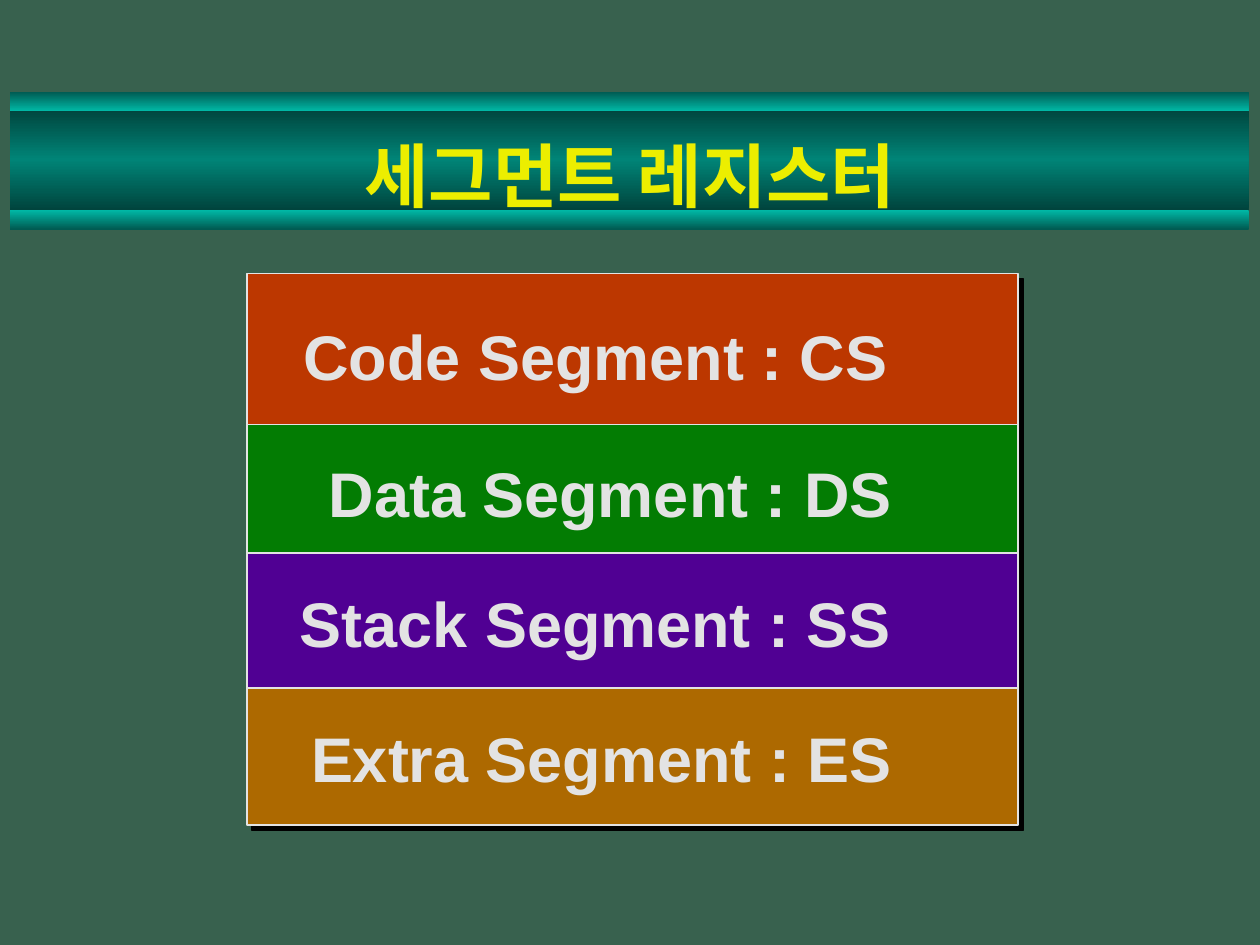
from lxml import etree
from pptx import Presentation
from pptx.dml.color import RGBColor
from pptx.enum import shapes, text
from pptx.oxml import parse_xml
from pptx.oxml.ns import nsdecls, qn
from pptx.util import Inches, Pt

LIGHT = "E3E3E3"
BANNER = [  # top, height, gradient stops
    (0.85, 0.83, [(0, "00423B"), (50, "008477"), (100, "00423B")]),
    (1.67, 0.15, [(0, "00B7A5"), (100, "005B52")]),
    (0.73, 0.15, [(0, "005B52"), (100, "00B7A5")]),
]
BANDS = [  # top, height, colour
    (2.17, 1.23, "BC3700"),
    (3.37, 1.03, "037C03"),
    (4.39, 1.43, "500093"),
    (5.46, 1.09, "AD6900"),
]
LABELS = [  # left, top, width, wording
    (2.31, 2.47, 5.26, "Code Segment : CS"),
    (2.51, 3.56, 5.6, "Data Segment : DS"),
    (2.28, 4.59, 5.84, "Stack Segment : SS"),
    (2.37, 5.66, 5.48, "Extra Segment : ES"),
]


def colour(value):
    return RGBColor.from_string(value)


def shadow_effect(distance):
    """Return an effect list with a hard black shadow to the lower right."""
    return parse_xml(
        f'<a:effectLst {nsdecls("a")}>'
        f'<a:outerShdw dist="{Pt(distance)}" dir="2700000" algn="ctr" rotWithShape="0">'
        '<a:srgbClr val="000000"/></a:outerShdw></a:effectLst>')


def add_rectangle(slide, left, top, width, height):
    box = slide.shapes.add_shape(
        shapes.MSO_SHAPE.RECTANGLE,
        Inches(left), Inches(top), Inches(width), Inches(height))
    box.shadow.inherit = False
    return box


def add_banner_strip(slide, top, height, stops):
    strip = add_rectangle(slide, 0.08, top, 9.83, height)
    strip.line.fill.background()
    strip.fill.gradient()
    gradient = strip._element.spPr.find(qn("a:gradFill"))
    stop_list = gradient.find(qn("a:gsLst"))
    for stop in list(stop_list):
        stop_list.remove(stop)
    for position, value in stops:
        stop = etree.SubElement(stop_list, qn("a:gs"), pos=str(position * 1000))
        etree.SubElement(stop, qn("a:srgbClr"), val=value)
    gradient.find(qn("a:lin")).set("ang", "5400000")


def add_band(slide, top, height, fill):
    band = add_rectangle(slide, 1.96, top, 6.12, height)
    band.fill.solid()
    band.fill.fore_color.rgb = colour(fill)
    band.line.color.rgb = colour(LIGHT)
    band.line.width = Pt(1)
    properties = band._element.spPr
    properties.replace(properties.find(qn("a:effectLst")), shadow_effect(4.2))


def write_shadowed(paragraph, wording, size, font, value):
    span = paragraph.add_run()
    span.text = wording
    span.font.size = Pt(size)
    span.font.bold = True
    span.font.color.rgb = colour(value)
    properties = span._r.get_or_add_rPr()
    properties.append(shadow_effect(3))
    for tag in ("a:latin", "a:ea"):
        etree.SubElement(properties, qn(tag), typeface=font)


def set_title(slide, wording):
    title = slide.shapes.title
    title.left, title.top = Inches(0.75), Inches(0.98)
    title.width, title.height = Inches(8.5), Inches(0.81)
    title.text_frame.vertical_anchor = text.MSO_ANCHOR.MIDDLE
    paragraph = title.text_frame.paragraphs[0]
    paragraph.alignment = text.PP_ALIGN.CENTER
    write_shadowed(paragraph, wording, 40, "Noto Sans CJK KR", "ECEE00")
    # Placeholders start at the back; the title belongs above the banner.
    slide.shapes._spTree.append(title._element)


def add_label(slide, left, top, width, wording):
    box = slide.shapes.add_textbox(
        Inches(left), Inches(top), Inches(width), Inches(0.53))
    box.text_frame.word_wrap = True
    paragraph = box.text_frame.paragraphs[0]
    indent = Inches(0.38)
    properties = paragraph._p.get_or_add_pPr()
    properties.set("marL", str(indent))
    properties.set("indent", str(-indent))
    write_shadowed(paragraph, wording, 36, "Arial", LIGHT)


def main():
    deck = Presentation()
    deck.slide_width, deck.slide_height = Inches(10), Inches(7.5)
    slide = deck.slides.add_slide(deck.slide_layouts[5])
    slide.background.fill.solid()
    slide.background.fill.fore_color.rgb = colour("38614E")
    for strip in BANNER:
        add_banner_strip(slide, *strip)
    set_title(slide, "세그먼트 레지스터")
    for band in BANDS:
        add_band(slide, *band)
    for label in LABELS:
        add_label(slide, *label)
    deck.save("out.pptx")


if __name__ == "__main__":
    main()
